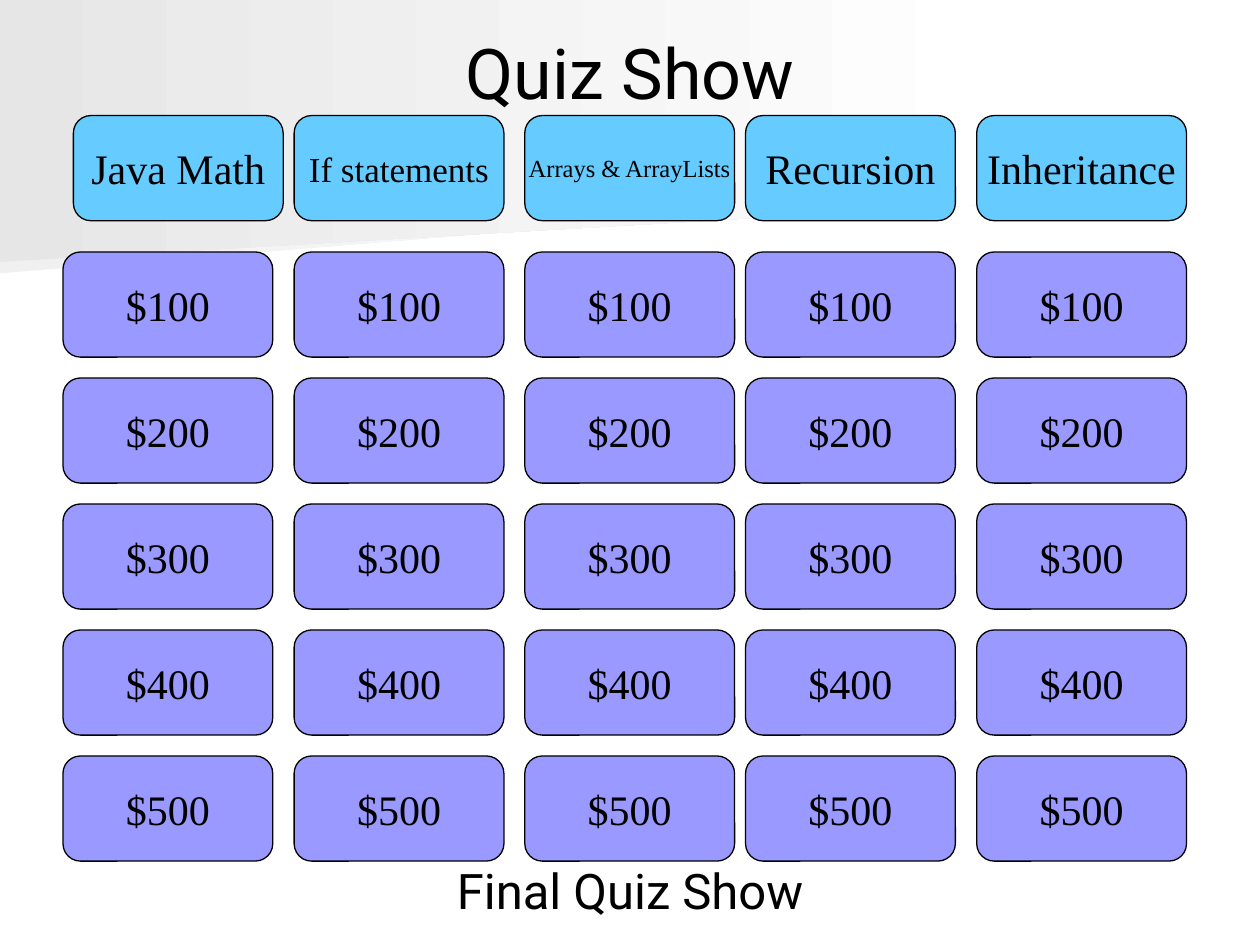
from pptx import Presentation
from pptx import util as u
from pptx.dml.color import RGBColor
from pptx.enum import shapes, text


def colour(value):
    return RGBColor.from_string(value)


def write(shape, words, size, font, wrap):
    frame = shape.text_frame
    frame.text = words
    frame.word_wrap = wrap
    frame.auto_size = text.MSO_AUTO_SIZE.NONE
    frame.vertical_anchor = text.MSO_ANCHOR.MIDDLE
    para = frame.paragraphs[0]
    para.alignment = text.PP_ALIGN.CENTER
    span = para.runs[0]
    span.font.size = u.Pt(size)
    span.font.name = font
    span.font.color.rgb = colour("000000")


deck = Presentation()
deck.slide_width, deck.slide_height = u.Cm(25.4), u.Cm(19.05)
page = deck.slides.add_slide(deck.slide_layouts[5])

# Background bands, fading to white on the right
bands = [
    ("F0F0F0", [(19.79, 3.89), (0, 5.51), (0, 2.57), (19.79, 2.57)]),
    ("E6E6E6", [(20.12, 4.11), (0, 5.28), (0, 0), (20.12, 0)]),
]
for tint, corners in bands:
    points = [(u.Cm(x), u.Cm(y)) for x, y in corners]
    builder = page.shapes.build_freeform(*points[0])
    builder.add_line_segments(points[1:], close=True)
    band = builder.convert_to_shape()
    band.shadow.inherit = False
    band.line.fill.background()
    band.fill.gradient()
    band.fill.gradient_angle = 0
    for stop, shade in zip(band.fill.gradient_stops, (tint, "FFFFFF")):
        stop.color.rgb = colour(shade)

# Title, brought in front of the bands
title = page.shapes.title
page.shapes.element.append(title.element)
title.left, title.top = u.Cm(1.27), u.Cm(0.76)
title.width, title.height = u.Cm(22.86), u.Cm(1.35)
write(title, "Quiz Show", 40, "Roboto", True)

# Tiles: one heading and five prizes per category
categories = [
    ("Java Math", 24, 1.27),
    ("If statements", 20, 5.93),
    ("Arrays & ArrayLists", 14, 10.58),
    ("Recursion", 24, 15.03),
    ("Inheritance", 24, 19.69),
]
first_row, row_step = 5.08, 2.54
tiles = []
for index, (name, size, left) in enumerate(categories):
    heading_left = left + 0.21 if index == 0 else left
    tiles.append((name, size, heading_left, 2.33, "66CCFF"))
    for row in range(5):
        prize = f"${(row + 1) * 100}"
        tiles.append((prize, 24, left, first_row + row * row_step, "9999FF"))

for words, size, left, top, fill in tiles:
    tile = page.shapes.add_shape(
        shapes.MSO_SHAPE.FLOWCHART_ALTERNATE_PROCESS,
        u.Cm(left), u.Cm(top), u.Cm(4.23), u.Cm(2.12))
    tile.shadow.inherit = False
    tile.fill.solid()
    tile.fill.fore_color.rgb = colour(fill)
    tile.line.color.rgb = colour("000000")
    tile.line.width = u.Pt(0.75)
    write(tile, words, size, "Times New Roman", False)

# Final round
final = page.shapes.add_textbox(u.Cm(1.27), u.Cm(17.27), u.Cm(22.86), u.Cm(1.35))
write(final, "Final Quiz Show", 28, "Roboto", True)

deck.save("out.pptx")
